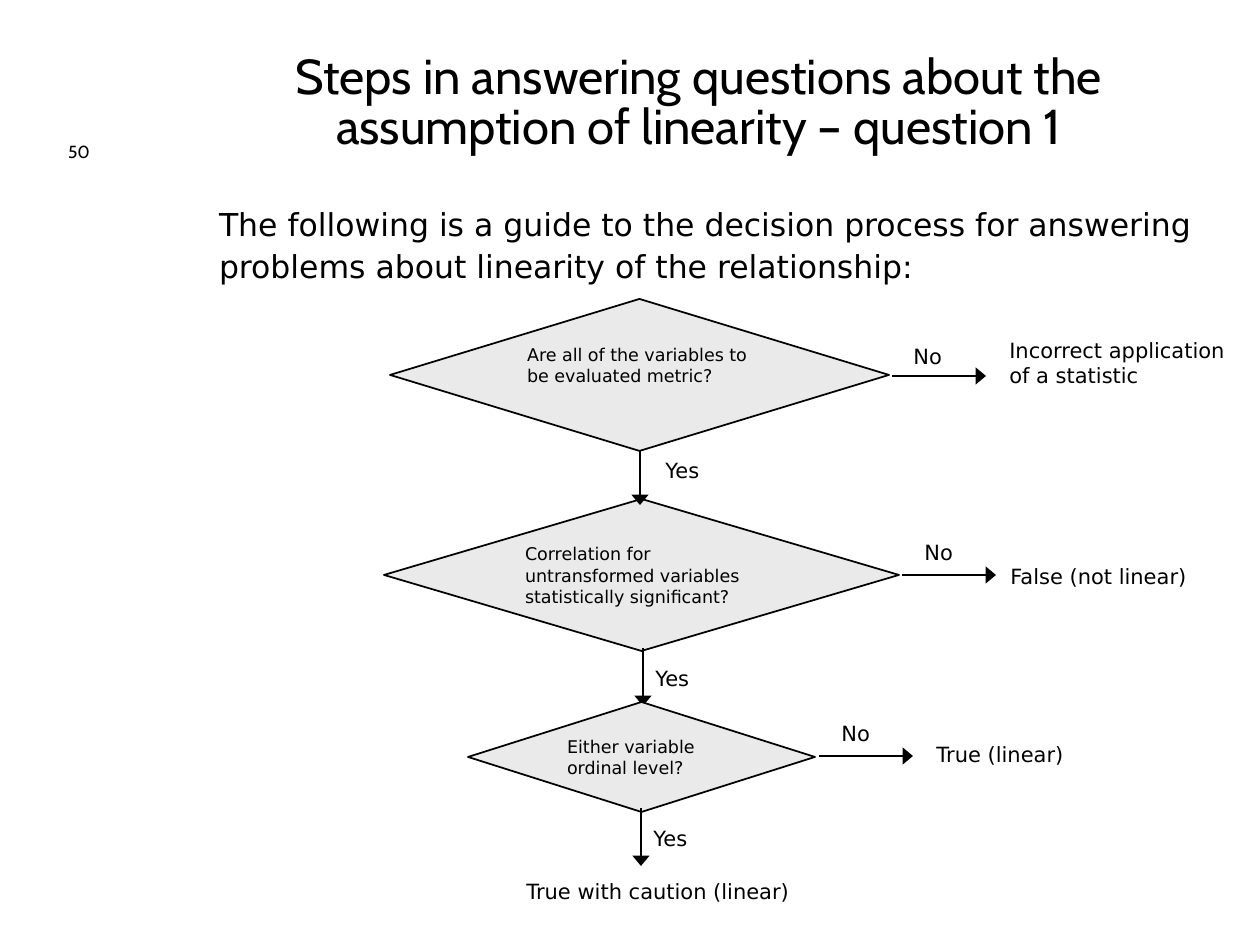
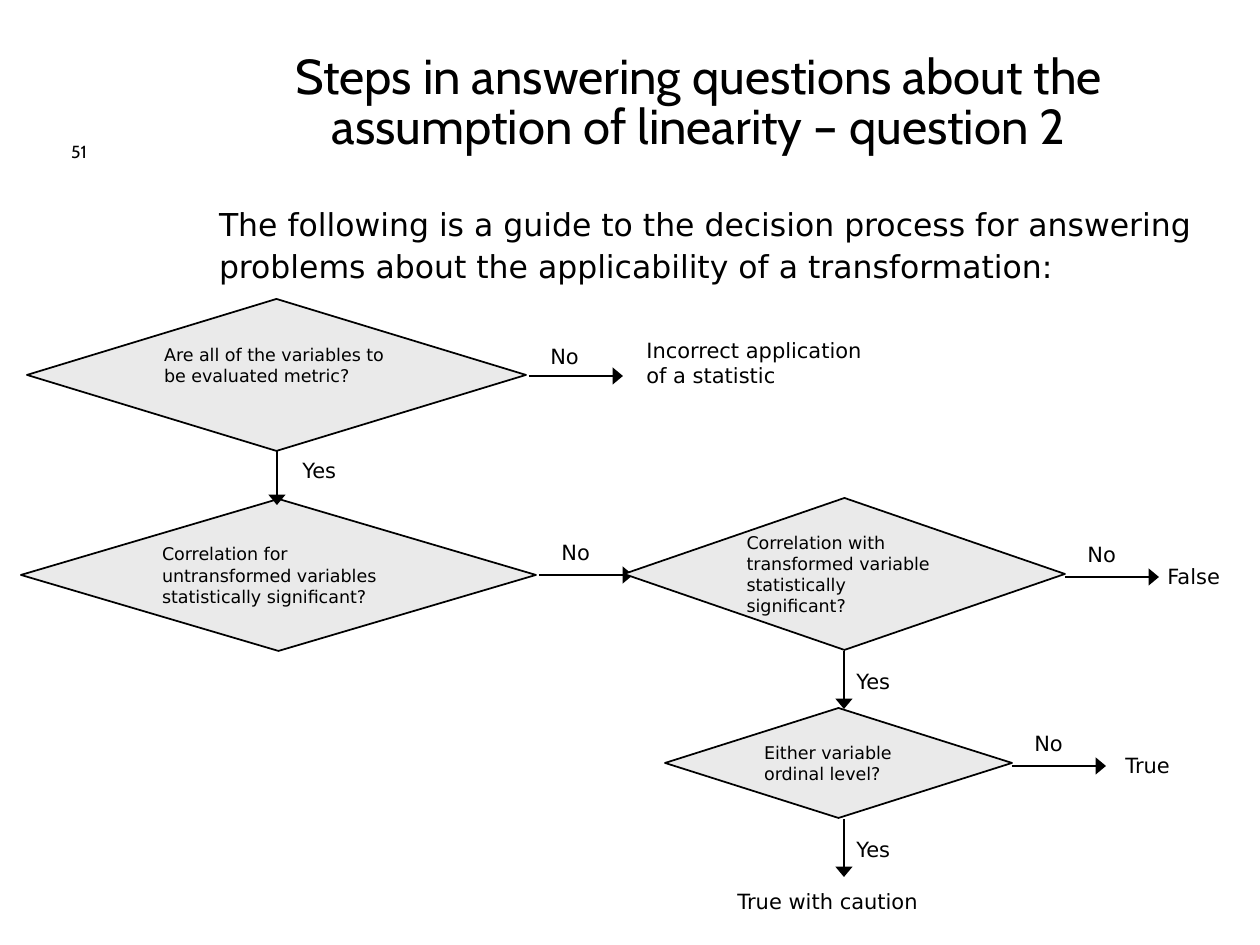
from lxml import etree
from pptx import Presentation
from pptx.dml.color import RGBColor
from pptx.enum.shapes import MSO_CONNECTOR, MSO_SHAPE
from pptx.enum.text import MSO_ANCHOR, PP_ALIGN
from pptx.oxml.ns import qn
from pptx.util import Emu, Pt

PX = 914400 / 126
BLACK = RGBColor(0x00, 0x00, 0x00)
DECISION_GREY = RGBColor(0xEA, 0xEA, 0xEA)
TITLE_FONT = "Cabin"
BODY_FONT = "DejaVu Sans"
DECISION = MSO_SHAPE.FLOWCHART_DECISION
STRAIGHT = MSO_CONNECTOR.STRAIGHT
TOP, MIDDLE, BOTTOM = MSO_ANCHOR.TOP, MSO_ANCHOR.MIDDLE, MSO_ANCHOR.BOTTOM
LEFT, CENTER = PP_ALIGN.LEFT, PP_ALIGN.CENTER
LINE_HEIGHT = 38
NO_LENGTH, YES_LENGTH = 94, 58
SECOND_FLOW_SHIFT = -363


def px(length):
    return Emu(round(length * PX))


def box(x, y, width, height):
    return px(x), px(y), px(width), px(height)


def write(frame, lines, size, font=BODY_FONT, align=LEFT, anchor=TOP):
    frame.word_wrap = True
    frame.vertical_anchor = anchor
    frame.text = "\n".join(lines)
    for paragraph in frame.paragraphs:
        paragraph.alignment = align
        paragraph.font.size = Pt(size)
        paragraph.font.name = font
        paragraph.font.color.rgb = BLACK


def add_text(slide, bounds, lines, size=12, **style):
    frame = slide.shapes.add_textbox(*box(*bounds)).text_frame
    write(frame, lines, size, **style)
    return frame


def add_heading(slide, number, title, intro):
    title_frame = add_text(slide, (158, 42, 1081, 126), [title], 28,
                           font=TITLE_FONT, align=CENTER, anchor=MIDDLE)
    title_frame.paragraphs[0].line_spacing = 0.85
    add_text(slide, (0, 42, 158, 126), [str(number)], 10,
             font=TITLE_FONT, align=CENTER, anchor=BOTTOM)
    intro_frame = add_text(slide, (199, 199, 1040, 96), intro, 18)
    intro_frame.margin_left = px(20)
    intro_frame.paragraphs[1].space_before = Pt(2.5)


def add_decision(slide, bounds, question, bottom_margin=6):
    decision = slide.shapes.add_shape(DECISION, *box(*bounds))
    decision.shadow.inherit = False
    decision.fill.solid()
    decision.fill.fore_color.rgb = DECISION_GREY
    decision.line.color.rgb = BLACK
    decision.line.width = Pt(1)
    write(decision.text_frame, [question], 10, anchor=MIDDLE)
    decision.text_frame.margin_bottom = px(bottom_margin)


def add_arrow(slide, x, y, dx, dy):
    arrow = slide.shapes.add_connector(STRAIGHT, px(x), px(y), px(x + dx), px(y + dy))
    arrow.line.color.rgb = BLACK
    arrow.line.width = Pt(1)
    etree.SubElement(arrow.line._get_or_add_ln(), qn("a:tailEnd"),
                     type="triangle", w="lg", len="med")
    etree.SubElement(arrow._element.spPr, qn("a:effectLst"))


def add_no(slide, x, y, label_dx=10, label_dy=-42):
    add_arrow(slide, x, y, NO_LENGTH, 0)
    add_text(slide, (x + label_dx, y + label_dy, 64, LINE_HEIGHT), ["No"])


def add_yes(slide, x, y, label_dx=0, label_dy=11):
    add_arrow(slide, x, y, 0, YES_LENGTH)
    add_text(slide, (x + label_dx, y + label_dy, 64, LINE_HEIGHT), ["Yes"])


def add_outcome(slide, x, y, width, text, lines=1):
    add_text(slide, (x, y, width, LINE_HEIGHT + 25 * (lines - 1)), [text])


def add_first_checks(slide, shift=0):
    add_decision(slide, (384 + shift, 499, 515, 152),
                 "Correlation for untransformed variables statistically significant?")
    add_no(slide, 902 + shift, 575)
    add_yes(slide, 640 + shift, 447, 13, 4)
    add_no(slide, 892 + shift, 376, 9, -39)
    add_outcome(slide, 997 + shift, 331, 242, "Incorrect application of a statistic", lines=2)
    add_decision(slide, (390 + shift, 299, 499, 152),
                 "Are all of the variables to be evaluated metric?", bottom_margin=27)


def add_ordinal_check(slide, x, y):
    add_decision(slide, (x, y, 347, 110), "Either variable ordinal level?")


def build_linearity_slide(slide):
    add_heading(slide, 50,
                "Steps in answering questions about the assumption of linearity – question 1",
                ["The following is a guide to the decision process for answering",
                 "problems about linearity of the relationship:"])
    add_first_checks(slide)
    add_outcome(slide, 998, 557, 210, "False (not linear)")
    add_yes(slide, 643, 648)
    add_ordinal_check(slide, 468, 702)
    add_no(slide, 819, 756)
    add_outcome(slide, 924, 735, 231, "True (linear)")
    add_yes(slide, 641, 808)
    add_outcome(slide, 514, 872, 315, "True with caution (linear)")


def build_transformation_slide(slide):
    add_heading(slide, 51,
                "Steps in answering questions about the assumption of linearity – question 2",
                ["The following is a guide to the decision process for answering",
                 "problems about the applicability of a transformation:"])
    add_first_checks(slide, SECOND_FLOW_SHIFT)
    add_decision(slide, (624, 498, 441, 152),
                 "Correlation with transformed variable statistically significant?")
    add_no(slide, 1065, 577)
    add_outcome(slide, 1155, 557, 84, "False")
    add_yes(slide, 844, 651)
    add_ordinal_check(slide, 665, 708)
    add_no(slide, 1012, 766)
    add_outcome(slide, 1113, 746, 73, "True")
    add_yes(slide, 844, 819)
    add_outcome(slide, 725, 882, 210, "True with caution")


def main():
    deck = Presentation()
    deck.slide_width, deck.slide_height = px(1260), px(945)
    blank = deck.slide_layouts[6]
    for build in (build_linearity_slide, build_transformation_slide):
        build(deck.slides.add_slide(blank))
    deck.save("out.pptx")


if __name__ == "__main__":
    main()
